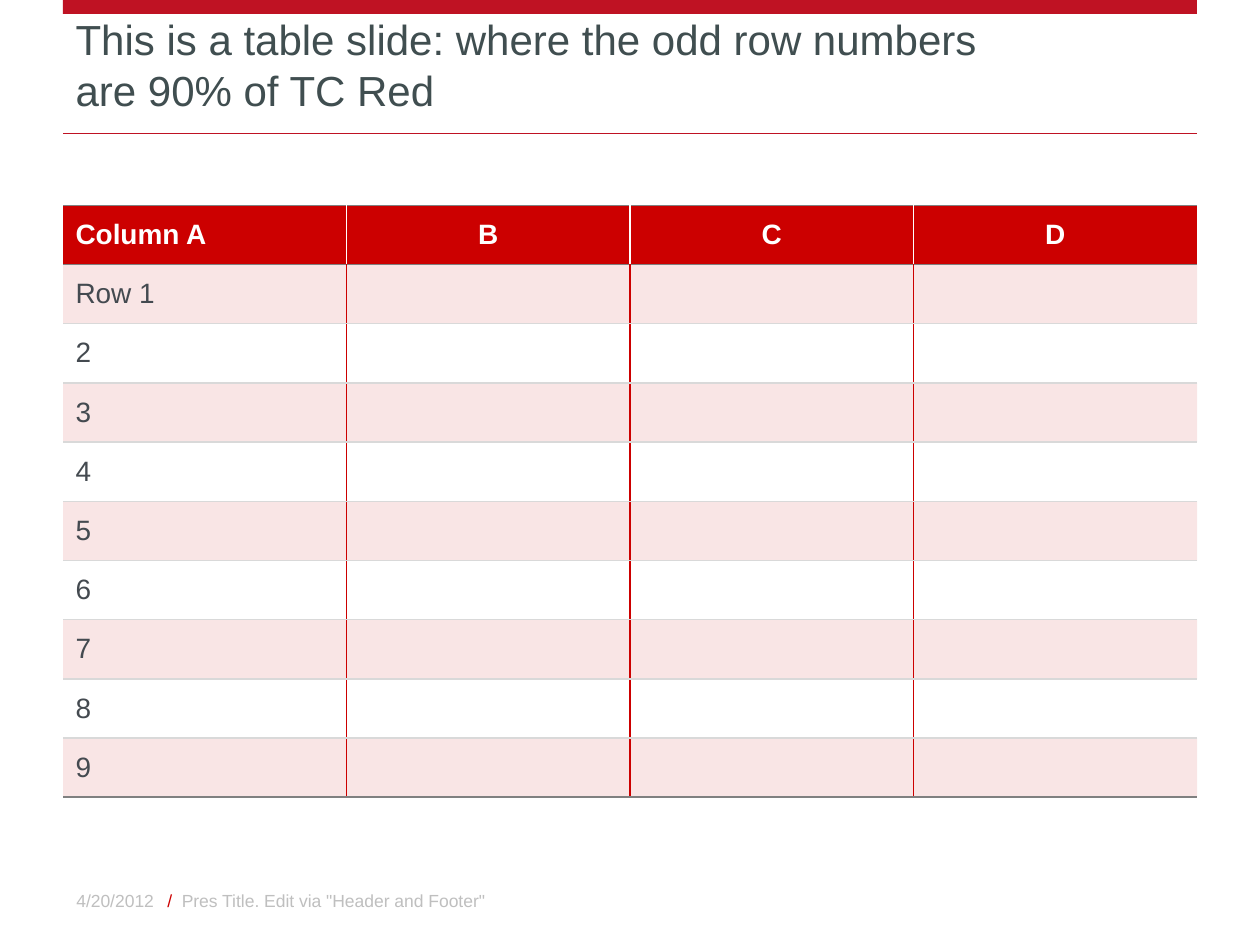
from lxml import etree
from pptx import Presentation
from pptx.dml.color import RGBColor
from pptx.enum.shapes import MSO_CONNECTOR, MSO_SHAPE
from pptx.enum.text import MSO_ANCHOR, PP_ALIGN
from pptx.oxml.ns import qn
from pptx.util import Inches, Pt

COLORS = {
    "bar": "BF1223", "title": "404E50", "red": "CC0000", "body": "444A50",
    "footer": "BFBFBF", "rule": "D9D9D9", "edge": "808080", "white": "FFFFFF",
}


def add_run(paragraph, text, size, color, bold=False):
    run = paragraph.add_run()
    run.text = text
    run.font.name = "Arial"
    run.font.size = Pt(size)
    run.font.bold = bold
    run.font.color.rgb = RGBColor.from_string(COLORS[color])


def add_border(cell, side, color):
    line = etree.SubElement(cell._tc.get_or_add_tcPr(), qn(f"a:ln{side}"), w=str(Pt(1)))
    fill = etree.SubElement(line, qn("a:solidFill") if color else qn("a:noFill"))
    if color:
        etree.SubElement(fill, qn("a:srgbClr"), val=COLORS[color])


prs = Presentation()
prs.slide_width, prs.slide_height = Inches(10), Inches(7.5)
slide = prs.slides.add_slide(prs.slide_layouts[5])
shapes = slide.shapes

top_bar = shapes.add_shape(MSO_SHAPE.RECTANGLE, Inches(0.5), 0, Inches(9), Inches(0.11))
top_bar.shadow.inherit = False
top_bar.fill.solid()
top_bar.fill.fore_color.rgb = RGBColor.from_string(COLORS["bar"])
top_bar.line.fill.background()

title_rule = shapes.add_connector(
    MSO_CONNECTOR.STRAIGHT, Inches(0.5), Inches(1.06), Inches(9.5), Inches(1.06))
title_rule.line.color.rgb = RGBColor.from_string(COLORS["bar"])
title_rule.line.width = Pt(1)
etree.SubElement(title_rule._element.spPr, qn("a:effectLst"))

title = shapes.title
title.left, title.top = Inches(0.5), Inches(0.28)
title.width, title.height = Inches(9), Inches(0.68)
title.text_frame.vertical_anchor = MSO_ANCHOR.BOTTOM
title.text_frame.word_wrap = True
heading = title.text_frame.paragraphs[0]
heading.alignment = PP_ALIGN.LEFT
add_run(heading, "This is a table slide: where the odd row numbers", 24, "title")
heading.add_line_break()
add_run(heading, "are 90% of TC Red", 24, "title")

footers = [
    (0.16, 1.16, PP_ALIGN.RIGHT, [("4/20/2012", "footer")]),
    (1.23, 3.17, PP_ALIGN.LEFT,
     [("/ ", "red"), (' Pres Title. Edit via "Header and Footer"', "footer")]),
]
for left, width, alignment, runs in footers:
    box = shapes.add_textbox(Inches(left), Inches(6.95), Inches(width), Inches(0.4))
    box.text_frame.word_wrap = True
    box.text_frame.vertical_anchor = MSO_ANCHOR.MIDDLE
    paragraph = box.text_frame.paragraphs[0]
    paragraph.alignment = alignment
    for text, color in runs:
        add_run(paragraph, text, 10, color)

headers = ["Column A", "B", "C", "D"]
row_labels = ["Row 1"] + [str(number) for number in range(2, 10)]
rows = [headers] + [[label, "", "", ""] for label in row_labels]
last_row, last_col = len(rows) - 1, len(headers) - 1
table = shapes.add_table(
    len(rows), len(headers), Inches(0.5), Inches(1.63), Inches(9), Inches(4.7)).table
for column in table.columns:
    column.width = Inches(2.25)

for r, row in enumerate(rows):
    table.rows[r].height = Inches(0.47)
    is_header = r == 0
    divider = "white" if is_header else "red"
    for c, text in enumerate(row):
        cell = table.cell(r, c)
        cell.vertical_anchor = MSO_ANCHOR.MIDDLE
        paragraph = cell.text_frame.paragraphs[0]
        paragraph.alignment = PP_ALIGN.CENTER if c else PP_ALIGN.LEFT
        paragraph.font.size = Pt(16)
        if text:
            add_run(paragraph, text, 16, "white" if is_header else "body", is_header)
        add_border(cell, "L", divider if c else None)
        add_border(cell, "R", divider if c < last_col else None)
        add_border(cell, "T", "edge" if r < 2 else "rule")
        add_border(cell, "B", "edge" if r in (0, last_row) else "rule")
        cell.fill.solid()
        cell.fill.fore_color.rgb = RGBColor.from_string(
            COLORS["red" if is_header or r % 2 else "white"])
        if r % 2:
            tint = cell._tc.tcPr.find(qn("a:solidFill")).find(qn("a:srgbClr"))
            etree.SubElement(tint, qn("a:alpha"), val="10000")

prs.save("out.pptx")
